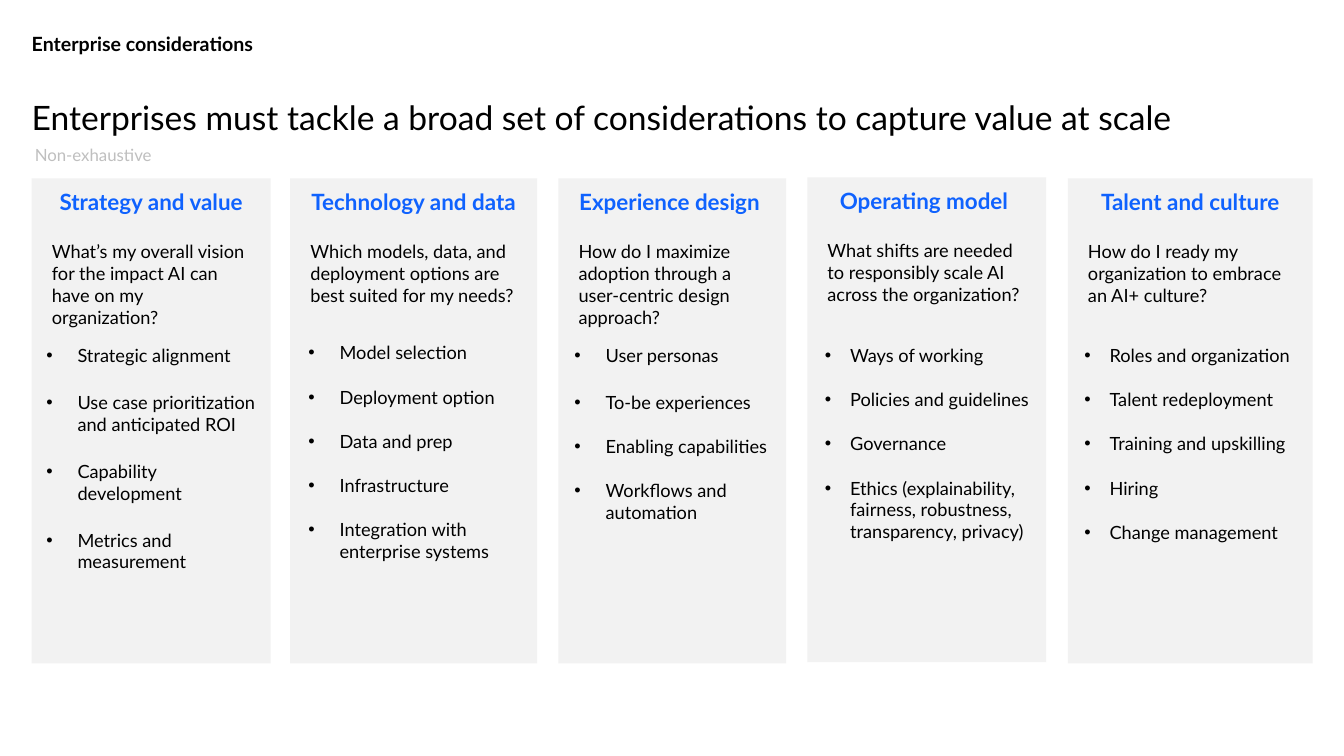
from dataclasses import dataclass

from lxml import etree
from pptx import Presentation
from pptx.dml.color import RGBColor
from pptx.enum.shapes import MSO_SHAPE
from pptx.enum.text import MSO_ANCHOR, PP_ALIGN
from pptx.oxml.ns import qn
from pptx.util import Emu, Pt

RECTANGLE = MSO_SHAPE.RECTANGLE
TOP = MSO_ANCHOR.TOP
LEFT = PP_ALIGN.LEFT
CENTER = PP_ALIGN.CENTER
EMU_PER_PX = 9144


@dataclass(frozen=True)
class Theme:
    font: str = "Lato"
    bullet_font: str = "Arial"
    text: str = "000000"
    accent: str = "0F62FE"
    muted: str = "BFBFBF"
    panel: str = "F2F2F2"
    title_size: int = 48
    heading_size: int = 32
    section_size: int = 28
    body_size: int = 26
    note_size: int = 24


@dataclass(frozen=True)
class Column:
    left: int
    width: int
    heading: str
    question: str
    bullets: tuple
    list_left: int
    list_width: int
    list_height: int
    top: int = 354
    list_top: int = 678
    indent: int = 62
    gap: int = 32
    first_gap: int = 32
    question_gap: int = 36


COLUMNS = (
    Column(63, 474, "Strategy and value",
           "What’s my overall vision for the impact AI can \nhave on my organization?",
           ("Strategic alignment", "Use case prioritization and anticipated ROI",
            "Capability \ndevelopment", "Metrics and measurement"),
           82, 448, 468, gap=36, first_gap=36),
    Column(576, 490, "Technology and data",
           "Which models, data, and deployment options are best suited for my needs?",
           ("Model selection", "Deployment option", "Data and prep",
            "Infrastructure", "Integration with enterprise systems"),
           602, 441, 452, list_top=673),
    Column(1108, 452, "Experience design ",
           "How do I maximize adoption through a user-centric design approach?",
           ("User personas", "To-be experiences", "Enabling capabilities",
            "Workflows and automation"),
           1130, 434, 369, first_gap=36),
    Column(1602, 474, "Operating model ",
           "What shifts are needed \nto responsibly scale AI across the organization?",
           ("Ways of working", "Policies and guidelines", "Governance",
            "Ethics (explainability, fairness, robustness, transparency, privacy)"),
           1627, 431, 451, top=352, indent=50, question_gap=32),
    Column(2119, 486, "Talent and culture",
           "How do I ready my organization to embrace an AI+ culture?",
           ("Roles and organization", "Talent redeployment",
            "Training and upskilling", "Hiring", "Change management"),
           2142, 443, 408, indent=50, question_gap=32),
)


def px(length):
    return Emu(length * EMU_PER_PX)


def write(paragraph, text, *, theme, size, color, bold=False, align=LEFT, after=0):
    paragraph.text = text
    paragraph.alignment = align
    paragraph.space_after = Pt(after)
    for run in paragraph.runs:
        run.font.name = theme.font
        run.font.size = Pt(size)
        run.font.bold = bold
        run.font.color.rgb = RGBColor.from_string(color)


class SlideBuilder:
    def __init__(self, slide, theme):
        self.slide = slide
        self.theme = theme

    def frame(self, shape, horizontal, vertical):
        frame = shape.text_frame
        frame.word_wrap = True
        frame.vertical_anchor = TOP
        frame.margin_left = frame.margin_right = px(horizontal)
        frame.margin_top = frame.margin_bottom = px(vertical)
        return frame

    def text_box(self, left, top, width, height, horizontal=0, vertical=0):
        shape = self.slide.shapes.add_textbox(px(left), px(top), px(width), px(height))
        return self.frame(shape, horizontal, vertical)

    def label(self, box, text, insets=(0, 0), **style):
        frame = self.text_box(*box, *insets)
        write(frame.paragraphs[0], text, theme=self.theme, **style)

    def card(self, column):
        theme = self.theme
        shape = self.slide.shapes.add_shape(
            RECTANGLE, px(column.left), px(column.top), px(column.width), px(962))
        shape.shadow.inherit = False
        shape.fill.solid()
        shape.fill.fore_color.rgb = RGBColor.from_string(theme.panel)
        shape.line.fill.background()
        frame = self.frame(shape, 40, 20)
        write(frame.paragraphs[0], column.heading, theme=theme, size=theme.heading_size,
              color=theme.accent, bold=True, align=CENTER, after=36)
        write(frame.add_paragraph(), column.question, theme=theme, size=theme.body_size,
              color=theme.text, after=column.question_gap)

    def bullet_list(self, column):
        theme = self.theme
        frame = self.text_box(column.list_left, column.list_top,
                              column.list_width, column.list_height, 10, 5)
        for index, text in enumerate(column.bullets):
            paragraph = frame.add_paragraph() if index else frame.paragraphs[0]
            write(paragraph, text, theme=theme, size=theme.body_size, color=theme.text,
                  after=column.gap if index else column.first_gap)
            self.bullet(paragraph, px(column.indent))

    def bullet(self, paragraph, indent):
        properties = paragraph._p.get_or_add_pPr()
        properties.set("marL", str(indent))
        properties.set("indent", str(-indent))
        etree.SubElement(properties, qn("a:buFont"), typeface=self.theme.bullet_font)
        etree.SubElement(properties, qn("a:buChar"), char="•")


def main():
    presentation = Presentation()
    presentation.slide_width = px(2667)
    presentation.slide_height = px(1500)
    slide = presentation.slides.add_slide(presentation.slide_layouts[6])
    theme = Theme()
    builder = SlideBuilder(slide, theme)

    for column in COLUMNS:
        builder.card(column)
    for column in COLUMNS:
        builder.bullet_list(column)

    builder.label(
        (63, 193, 2503, 120),
        "Enterprises must tackle a broad set of considerations to capture value at scale",
        size=theme.title_size, color=theme.text)
    builder.label((49, 278, 475, 61), "Non-exhaustive", insets=(20, 10),
                  size=theme.note_size, color=theme.muted)
    builder.label((63, 63, 609, 91), "Enterprise considerations",
                  size=theme.section_size, color=theme.text, bold=True)
    presentation.save("out.pptx")


if __name__ == "__main__":
    main()
